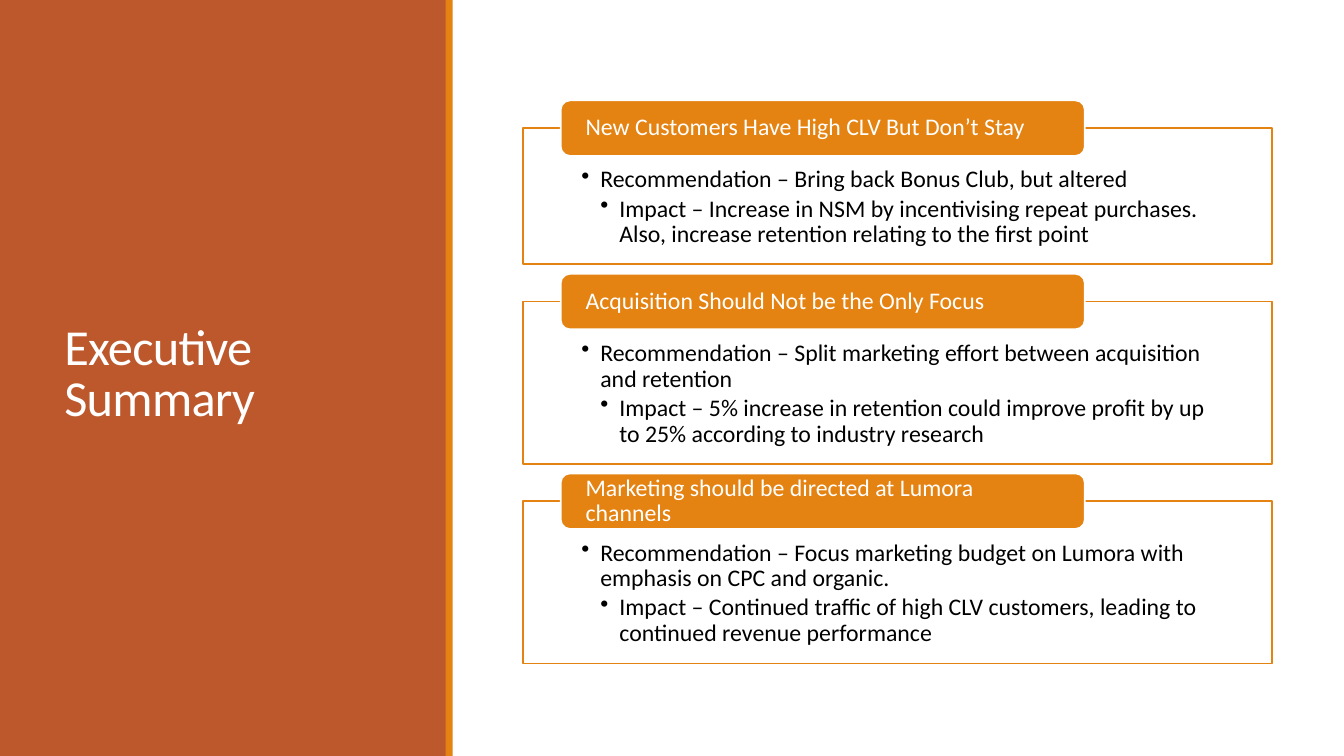
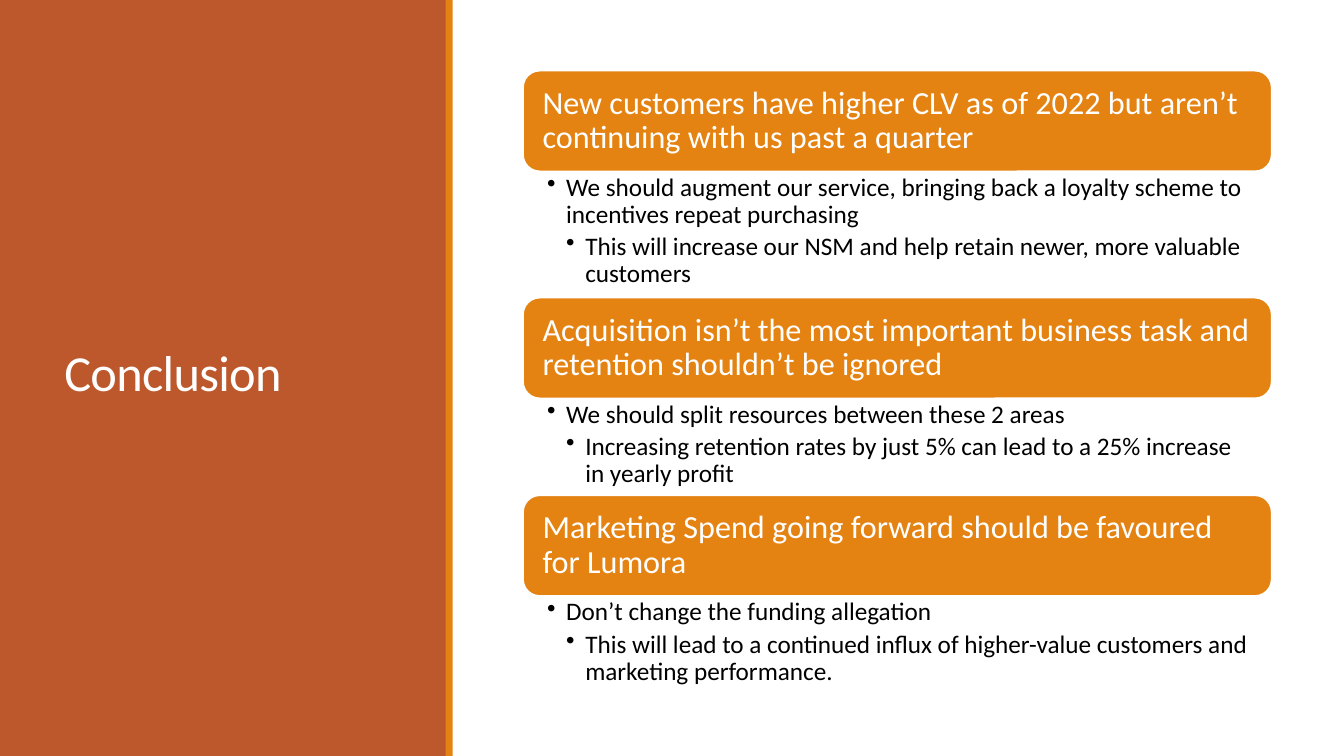
from dataclasses import dataclass
from typing import Optional

from lxml.etree import SubElement
from pptx import Presentation
from pptx.dml.color import RGBColor
from pptx.enum.shapes import MSO_SHAPE
from pptx.enum.text import MSO_ANCHOR, MSO_AUTO_SIZE, PP_ALIGN
from pptx.oxml.ns import qn
from pptx.shapes.autoshape import Shape
from pptx.slide import Slide
from pptx.text.text import TextFrame
from pptx.util import Cm, Pt

FONT = "Calibri"
RUST = "BD582C"
ORANGE = "E48312"
WHITE = "FFFFFF"
BLACK = "000000"

SLIDE_WIDTH = 33.87
SLIDE_HEIGHT = 19.05
SIDE_WIDTH = 11.25
CONTENT_LEFT = 13.18
CONTENT_WIDTH = 18.87
BULLET_INDENT = 0.48

PANEL_TOP = 3.23
PANEL_GAP = 0.94
TAB_HEIGHT = 1.4
TAB_WIDTH = 13.21
TAB_RISE = 0.7
TAB_OFFSET = 0.95

BANNER_TOP = 1.78
BANNER_HEIGHT = 2.54


@dataclass(frozen=True)
class Box:
    left: float
    top: float
    width: float
    height: float


@dataclass(frozen=True)
class Topic:
    heading: str
    point: str
    detail: str
    height: float


SUMMARY_TOPICS = [
    Topic(
        "New Customers Have High CLV But Don’t Stay",
        "Recommendation – Bring back Bonus Club, but altered",
        "Impact – Increase in NSM by incentivising repeat purchases. "
        "Also, increase retention relating to the first point",
        3.43,
    ),
    Topic(
        "Acquisition Should Not be the Only Focus",
        "Recommendation – Split marketing effort between acquisition and retention",
        "Impact – 5% increase in retention could improve profit by up to 25% "
        "according to industry research",
        4.09,
    ),
    Topic(
        "Marketing should be directed at Lumora channels",
        "Recommendation – Focus marketing budget on Lumora with emphasis on CPC and organic.",
        "Impact – Continued traffic of high CLV customers, leading to continued "
        "revenue performance",
        4.09,
    ),
]

CONCLUSION_TOPICS = [
    Topic(
        "New customers have higher CLV as of 2022 but aren’t continuing with us past a quarter",
        "We should augment our service, bringing back a loyalty scheme to "
        "incentives repeat purchasing",
        "This will increase our NSM and help retain newer, more valuable customers",
        3.18,
    ),
    Topic(
        "Acquisition isn’t the most important business task and retention shouldn’t be ignored",
        "We should split resources between these 2 areas",
        "Increasing retention rates by just 5% can lead to a 25% increase in yearly profit",
        2.44,
    ),
    Topic(
        "Marketing Spend going forward should be favoured for Lumora",
        "Don’t change the funding allegation",
        "This will lead to a continued influx of higher-value customers and "
        "marketing performance.",
        2.44,
    ),
]


def color(value: str) -> RGBColor:
    return RGBColor.from_string(value)


def add_box(
    slide: Slide,
    box: Box,
    fill: str,
    line: Optional[str] = None,
    kind: MSO_SHAPE = MSO_SHAPE.RECTANGLE,
) -> Shape:
    shape = slide.shapes.add_shape(
        kind, Cm(box.left), Cm(box.top), Cm(box.width), Cm(box.height)
    )
    shape.shadow.inherit = False
    shape.fill.solid()
    shape.fill.fore_color.rgb = color(fill)
    if line:
        shape.line.color.rgb = color(line)
        shape.line.width = Pt(1.25)
    else:
        shape.line.fill.background()
    return shape


def format_frame(
    frame: TextFrame,
    left: float,
    top: float,
    right: float,
    bottom: float,
    anchor: MSO_ANCHOR,
) -> None:
    frame.word_wrap = True
    frame.auto_size = MSO_AUTO_SIZE.NONE
    frame.vertical_anchor = anchor
    frame.margin_left = Cm(left)
    frame.margin_top = Cm(top)
    frame.margin_right = Cm(right)
    frame.margin_bottom = Cm(bottom)


def write_text(
    frame: TextFrame,
    text: str,
    *,
    size: float,
    font_color: str,
    line_spacing: float = 0.9,
    space_after: float = 0,
    level: int = 0,
    tracking: int = 0,
) -> None:
    paragraph = frame.add_paragraph() if frame.text else frame.paragraphs[0]
    paragraph.alignment = PP_ALIGN.LEFT
    paragraph.line_spacing = line_spacing
    paragraph.space_before = Pt(0)
    paragraph.space_after = Pt(space_after)
    run = paragraph.add_run()
    run.text = text
    run.font.name = FONT
    run.font.size = Pt(size)
    run.font.color.rgb = color(font_color)
    if tracking:
        run.font._element.set("spc", str(tracking))
    if level:
        paragraph.level = level
        properties = paragraph._p.get_or_add_pPr()
        properties.set("marL", str(Cm(BULLET_INDENT * level)))
        properties.set("indent", str(-Cm(BULLET_INDENT)))
        SubElement(properties, qn("a:buChar")).set("char", "•")


def write_points(frame: TextFrame, topic: Topic, size: float, space_after: float) -> None:
    for level, text in enumerate((topic.point, topic.detail), start=1):
        write_text(
            frame, text, size=size, font_color=BLACK, space_after=space_after, level=level
        )


def add_titled_slide(presentation: Presentation, title_text: str) -> Slide:
    slide = presentation.slides.add_slide(presentation.slide_layouts.get_by_name("Title Only"))
    title = slide.shapes.title
    side_panel = add_box(slide, Box(0, 0, SIDE_WIDTH, SLIDE_HEIGHT), RUST)
    title._element.addprevious(side_panel._element)
    add_box(slide, Box(SIDE_WIDTH - 0.02, 0, 0.18, SLIDE_HEIGHT), ORANGE)
    title.left, title.top = Cm(1.37), Cm(1.45)
    title.width, title.height = Cm(8.56), Cm(16.03)
    format_frame(title.text_frame, 0.25, 0.13, 0.25, 0.13, MSO_ANCHOR.MIDDLE)
    write_text(
        title.text_frame,
        title_text,
        size=36,
        font_color=WHITE,
        line_spacing=0.85,
        tracking=-50,
    )
    return slide


def add_heading(slide: Slide, box: Box, text: str, size: float, inset: float) -> None:
    heading = add_box(slide, box, ORANGE, WHITE, MSO_SHAPE.ROUNDED_RECTANGLE)
    format_frame(heading.text_frame, inset, 0, inset, 0, MSO_ANCHOR.MIDDLE)
    write_text(heading.text_frame, text, size=size, font_color=WHITE)


def add_summary(presentation: Presentation) -> None:
    slide = add_titled_slide(presentation, "Executive Summary")
    top = PANEL_TOP
    for topic in SUMMARY_TOPICS:
        panel = add_box(
            slide, Box(CONTENT_LEFT, top, CONTENT_WIDTH, topic.height), WHITE, ORANGE
        )
        format_frame(panel.text_frame, 1.47, 0.99, 1.47, 0.33, MSO_ANCHOR.TOP)
        write_points(panel.text_frame, topic, 17, 2.5)
        tab = Box(CONTENT_LEFT + TAB_OFFSET, top - TAB_RISE, TAB_WIDTH, TAB_HEIGHT)
        add_heading(slide, tab, topic.heading, 17, 0.56)
        top += topic.height + PANEL_GAP


def add_conclusion(presentation: Presentation) -> None:
    slide = add_titled_slide(presentation, "Conclusion")
    top = BANNER_TOP
    for topic in CONCLUSION_TOPICS:
        banner = Box(CONTENT_LEFT, top, CONTENT_WIDTH, BANNER_HEIGHT)
        add_heading(slide, banner, topic.heading, 23, 0.37)
        top += BANNER_HEIGHT
        points = slide.shapes.add_textbox(
            Cm(CONTENT_LEFT), Cm(top), Cm(CONTENT_WIDTH), Cm(topic.height)
        )
        format_frame(points.text_frame, 0.61, 0.08, 0.46, 0.08, MSO_ANCHOR.TOP)
        write_points(points.text_frame, topic, 18, 3.5)
        top += topic.height


def main() -> None:
    presentation = Presentation()
    presentation.slide_width = Cm(SLIDE_WIDTH)
    presentation.slide_height = Cm(SLIDE_HEIGHT)
    add_summary(presentation)
    add_conclusion(presentation)
    presentation.save("out.pptx")


if __name__ == "__main__":
    main()
